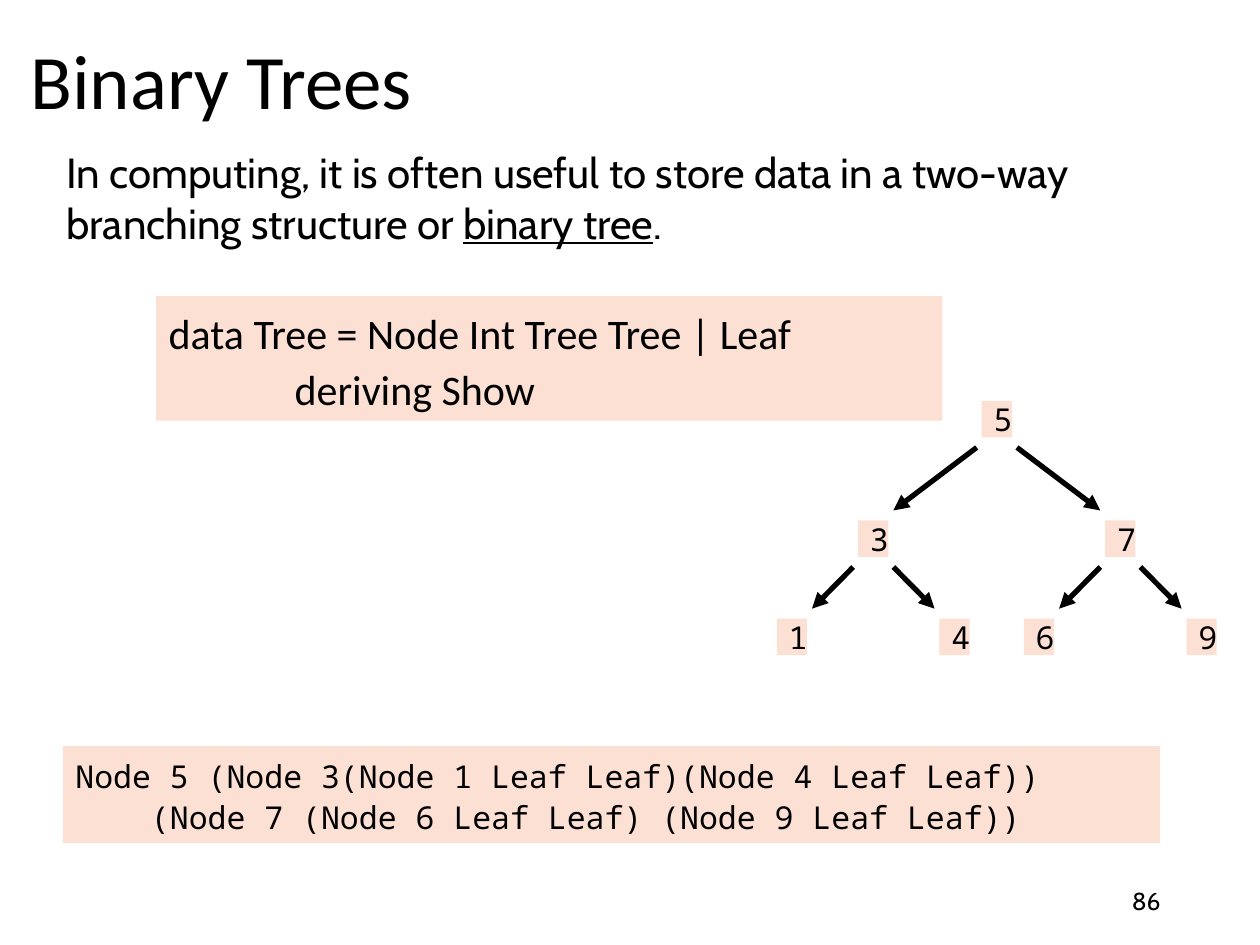
from dataclasses import dataclass

from lxml import etree
from pptx import Presentation
from pptx import util as u
from pptx.dml.color import RGBColor
from pptx.enum import shapes, text
from pptx.oxml.ns import qn


@dataclass(frozen=True)
class Theme:
    """Colours, fonts and type sizes of the slide."""
    ink: RGBColor = RGBColor(0, 0, 0)
    panel: RGBColor = RGBColor(0xFC, 0xE0, 0xD4)
    heading: str = "Calibri"
    body: str = "Cabin"
    mono: str = "Noto Sans Mono"
    title_pt: int = 44
    body_pt: int = 24
    code_pt: int = 18
    number_pt: int = 14
    line_pt: int = 3


THEME = Theme()
LEFT, CENTER, RIGHT = text.PP_ALIGN.LEFT, text.PP_ALIGN.CENTER, text.PP_ALIGN.RIGHT
NODE_W, NODE_H = 0.61, 0.74
GAP_X, GAP_Y = 0.1, 0.2
SPREADS = [(2.49, 2.41), (1.64, 1.98)]
TREE = (5, (3, (1,), (4,)), (7, (6,), (9,)))


def write(sp, lines, font, size, align=LEFT, spacing=1.0, wrap=True):
    """Fill a shape with lines, each a list of (text, underlined) runs."""
    tf = sp.text_frame
    tf.word_wrap = wrap
    tf.auto_size = text.MSO_AUTO_SIZE.NONE
    tf.vertical_anchor = text.MSO_ANCHOR.MIDDLE
    for i, runs in enumerate(lines):
        p = tf.paragraphs[0] if i == 0 else tf.add_paragraph()
        p.alignment, p.line_spacing = align, spacing
        for content, underlined in runs:
            r = p.add_run()
            r.text = content
            r.font.name, r.font.size = font, u.Pt(size)
            r.font.color.rgb = THEME.ink
            if underlined:
                r.font.underline = True


def add_title(s, content, box):
    """Place and format the title placeholder."""
    sp = s.shapes.title
    sp.left, sp.top, sp.width, sp.height = map(u.Cm, box)
    write(sp, [[(content, False)]], THEME.heading, THEME.title_pt, spacing=0.9)


def add_text(s, runs, box, size, align=LEFT):
    """Add a one-paragraph text box."""
    sp = s.shapes.add_textbox(*map(u.Cm, box))
    write(sp, [runs], THEME.body, size, align)


def add_panel(s, box):
    """Add a plain tinted rectangle."""
    sp = s.shapes.add_shape(shapes.MSO_SHAPE.RECTANGLE, *map(u.Cm, box))
    sp.shadow.inherit = False
    sp.fill.solid()
    sp.fill.fore_color.rgb = THEME.panel
    sp.line.fill.background()
    return sp


def add_code(s, lines, box, font, size):
    """Add a tinted panel with lines of code."""
    write(add_panel(s, box), [[(line, False)] for line in lines], font, size, spacing=1.1)


def add_arrow(s, start, end):
    """Add a straight arrow between two points."""
    cxn = s.shapes.add_connector(shapes.MSO_CONNECTOR.STRAIGHT, *map(u.Cm, start + end))
    cxn.line.color.rgb = THEME.ink
    cxn.line.width = u.Pt(THEME.line_pt)
    etree.SubElement(cxn.line._get_or_add_ln(), qn("a:tailEnd"), type="triangle")
    etree.SubElement(cxn._element.spPr, qn("a:effectLst"))


def add_tree(s, tree, x, y, level=0):
    """Draw a node, its subtrees and the arrows to them."""
    value, *children = tree
    sp = add_panel(s, (x, y, NODE_W, NODE_H))
    tf = sp.text_frame
    tf.margin_left = u.Cm(0.25)
    tf.margin_right = tf.margin_top = tf.margin_bottom = 0
    write(sp, [[(str(value), False)]], THEME.mono, THEME.code_pt, CENTER, wrap=False)
    for side, child in zip((-1, 1), children):
        dx, dy = SPREADS[level]
        child_x, child_y = x + side * dx, y + dy
        reach = side * (NODE_W / 2 + GAP_X)
        add_arrow(s, (x + NODE_W / 2 + reach, y + NODE_H + GAP_Y),
                  (child_x + NODE_W / 2 - reach, child_y - GAP_Y))
        add_tree(s, child, child_x, child_y, level + 1)


def main():
    """Build and save the slide."""
    prs = Presentation()
    prs.slide_width, prs.slide_height = u.Cm(25.4), u.Cm(19.05)
    s = prs.slides.add_slide(prs.slide_layouts[5])
    add_title(s, "Binary Trees", (0.36, -0.13, 21.9, 3.68))
    add_text(s, [("86", False)], (17.93, 17.65, 5.72, 1.02), THEME.number_pt, RIGHT)
    add_text(s, [("In computing, it is often useful to store data in a two-way "
                  "branching structure or ", False),
                 ("binary tree", True), (".", False)],
             (1.09, 2.82, 22.76, 2.31), THEME.body_pt)
    add_tree(s, TREE, 19.79, 8.08)
    add_code(s, ["data Tree = Node Int Tree Tree | Leaf", "\t\tderiving Show"],
             (3.15, 5.97, 15.85, 2.51), THEME.heading, THEME.body_pt)
    add_code(s, ["Node 5 (Node 3(Node 1 Leaf Leaf)(Node 4 Leaf Leaf))",
                 "    (Node 7 (Node 6 Leaf Leaf) (Node 9 Leaf Leaf))"],
             (1.27, 15.04, 22.12, 1.96), THEME.mono, THEME.code_pt)
    prs.save("out.pptx")


if __name__ == "__main__":
    main()
